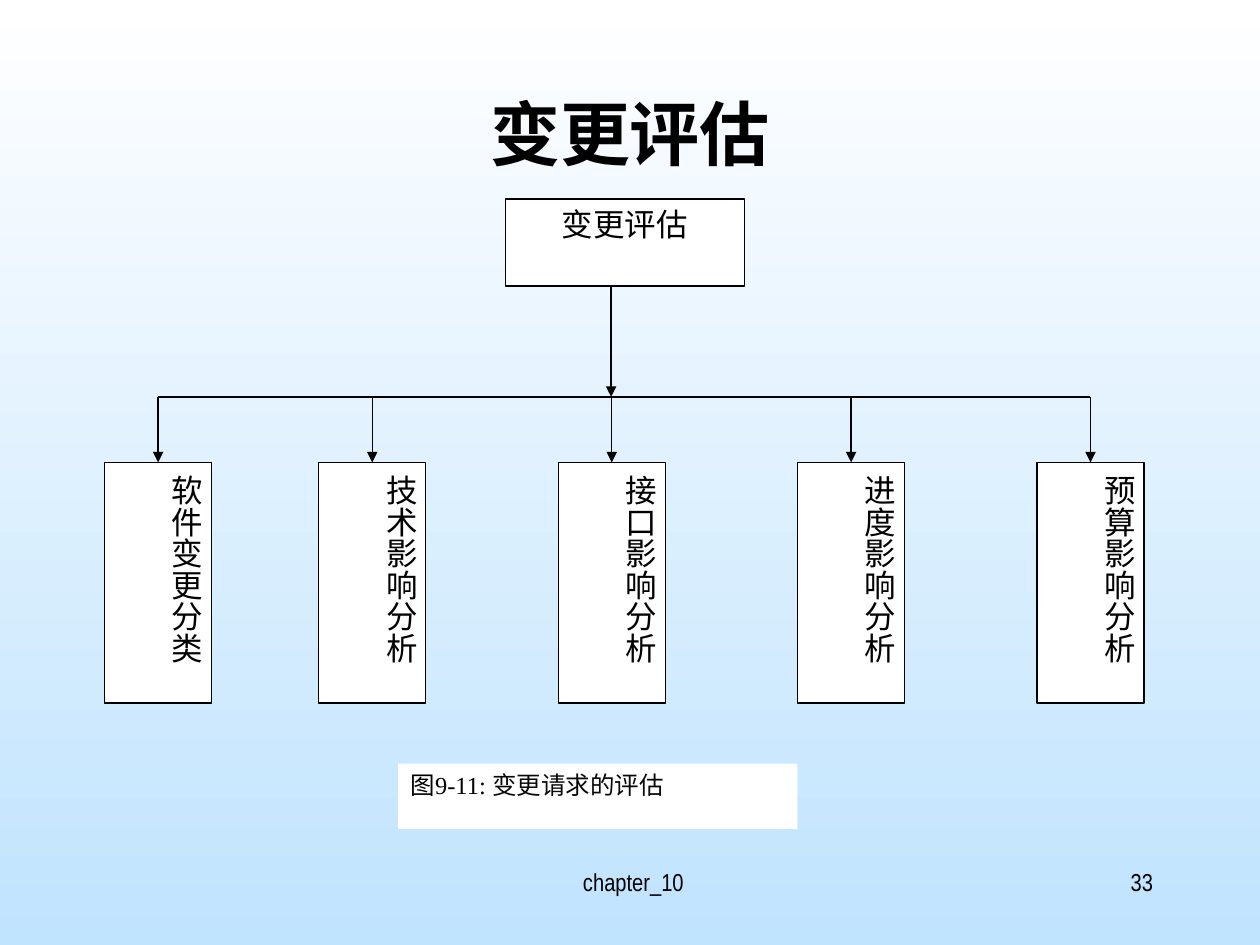
from lxml import etree
from pptx import Presentation
from pptx.dml.color import RGBColor
from pptx.enum.shapes import MSO_CONNECTOR as Connector, MSO_SHAPE as Shape
from pptx.enum.text import MSO_ANCHOR as Anchor, PP_ALIGN as Align
from pptx.oxml.ns import qn
from pptx.util import Inches, Pt

THEME = {
    "black": RGBColor(0, 0, 0), "ink": RGBColor(8, 8, 8),
    "white": RGBColor(255, 255, 255), "sky": RGBColor(0xC0, 0xE3, 0xFE),
    "sans": "Arial Narrow", "serif": "Times New Roman", "east_asian": "Noto Sans CJK SC",
    "title": Pt(40), "label": Pt(18), "small": Pt(14), "line": Pt(0.75),
}

TITLE = "变更评估"
ROOT = "变更评估"
BRANCHES = ["软件变更分类", "技术影响分析", "接口影响分析", "进度影响分析", "预算影响分析"]
CAPTION = ["图9-11: ", "变更请求的评估"]
FOOTERS = [
    (" chapter_10", (3.42, 6.83, 3.17, 0.5), Align.CENTER),
    ("33", (7.17, 6.83, 2.08, 0.5), Align.RIGHT),
]

FIRST_LEFT, SECOND_LEFT, BRANCH_PITCH = 0.83, 2.53, 1.9
BRANCH_TOP, BRANCH_WIDTH, BRANCH_HEIGHT = 3.67, 0.85, 1.91
TRUNK_X, TRUNK_TOP, BUS_Y = 4.85, 2.28, 3.15


def write(shape, pieces, size, font, alignment, vertical=False):
    """Fill a shape with one paragraph of styled runs."""
    frame = shape.text_frame
    frame.word_wrap = True
    frame.vertical_anchor = Anchor.TOP
    horizontal, upright = (0.05, 0.1) if vertical else (0.1, 0.05)
    frame.margin_left = frame.margin_right = Inches(horizontal)
    frame.margin_top = frame.margin_bottom = Inches(upright)
    if vertical:
        frame._txBody.bodyPr.set("vert", "eaVert")
    paragraph = frame.paragraphs[0]
    paragraph.alignment = alignment
    for piece in pieces:
        run = paragraph.add_run()
        run.text = piece
        run.font.size = size
        run.font.name = font
        run.font.color.rgb = THEME["black"]
        east_asian = etree.SubElement(run.font._element, qn("a:ea"))
        east_asian.set("typeface", THEME["east_asian"])
    return paragraph


def add_text(slide, text, area, size, alignment):
    """Add a sans-serif text box."""
    shape = slide.shapes.add_textbox(*map(Inches, area))
    return write(shape, [text], size, THEME["sans"], alignment)


def add_box(slide, area, outlined=True):
    """Add a white rectangle."""
    shape = slide.shapes.add_shape(Shape.RECTANGLE, *map(Inches, area))
    shape.shadow.inherit = False
    shape.fill.solid()
    shape.fill.fore_color.rgb = THEME["white"]
    if outlined:
        shape.line.color.rgb = THEME["black"]
        shape.line.width = THEME["line"]
    else:
        shape.line.fill.background()
    return shape


def add_line(slide, start, end, arrow=True):
    """Add a thin black connector, with an arrowhead at its end if asked."""
    connector = slide.shapes.add_connector(Connector.STRAIGHT, *map(Inches, start + end))
    connector.line.color.rgb = THEME["black"]
    connector.line.width = THEME["line"]
    if arrow:
        head = etree.SubElement(connector.line._get_or_add_ln(), qn("a:tailEnd"))
        head.set("type", "triangle")
    etree.SubElement(connector._element.spPr, qn("a:effectLst"))
    return connector


def main():
    """Build the change evaluation slide."""
    presentation = Presentation()
    presentation.slide_width, presentation.slide_height = Inches(10), Inches(7.5)
    slide = presentation.slides.add_slide(presentation.slide_layouts[6])
    background = slide.background.fill
    background.gradient()
    background.gradient_angle = 270
    for stop, color in zip(background.gradient_stops, ("white", "sky")):
        stop.color.rgb = THEME[color]

    for text, area, alignment in FOOTERS:
        add_text(slide, text, area, THEME["small"], alignment)
    title = add_text(slide, TITLE, (0.75, 0.67, 8.5, 1.25), THEME["title"], Align.CENTER)
    title.runs[0].font.bold = True

    root = add_box(slide, (4.01, 1.58, 1.9, 0.69))
    write(root, [ROOT], THEME["label"], THEME["serif"], Align.CENTER)

    lefts = [FIRST_LEFT] + [SECOND_LEFT + BRANCH_PITCH * i for i in range(len(BRANCHES) - 1)]
    centers = [left + BRANCH_WIDTH / 2 for left in lefts]
    add_line(slide, (centers[0], BUS_Y), (centers[-1], BUS_Y), arrow=False)
    add_line(slide, (TRUNK_X, TRUNK_TOP), (TRUNK_X, BUS_Y))
    for label, left, center in zip(BRANCHES, lefts, centers):
        box = add_box(slide, (left, BRANCH_TOP, BRANCH_WIDTH, BRANCH_HEIGHT))
        write(box, [label], THEME["label"], THEME["serif"], Align.CENTER, vertical=True)
        add_line(slide, (center, BUS_Y), (center, BRANCH_TOP)).end_connect(box, 0)

    caption = add_box(slide, (3.16, 6.06, 3.17, 0.52), outlined=False)
    paragraph = write(caption, CAPTION, THEME["small"], THEME["serif"], Align.JUSTIFY)
    paragraph.runs[1].font.name = THEME["east_asian"]
    paragraph.runs[1].font.color.rgb = THEME["ink"]

    presentation.save("out.pptx")


if __name__ == "__main__":
    main()
